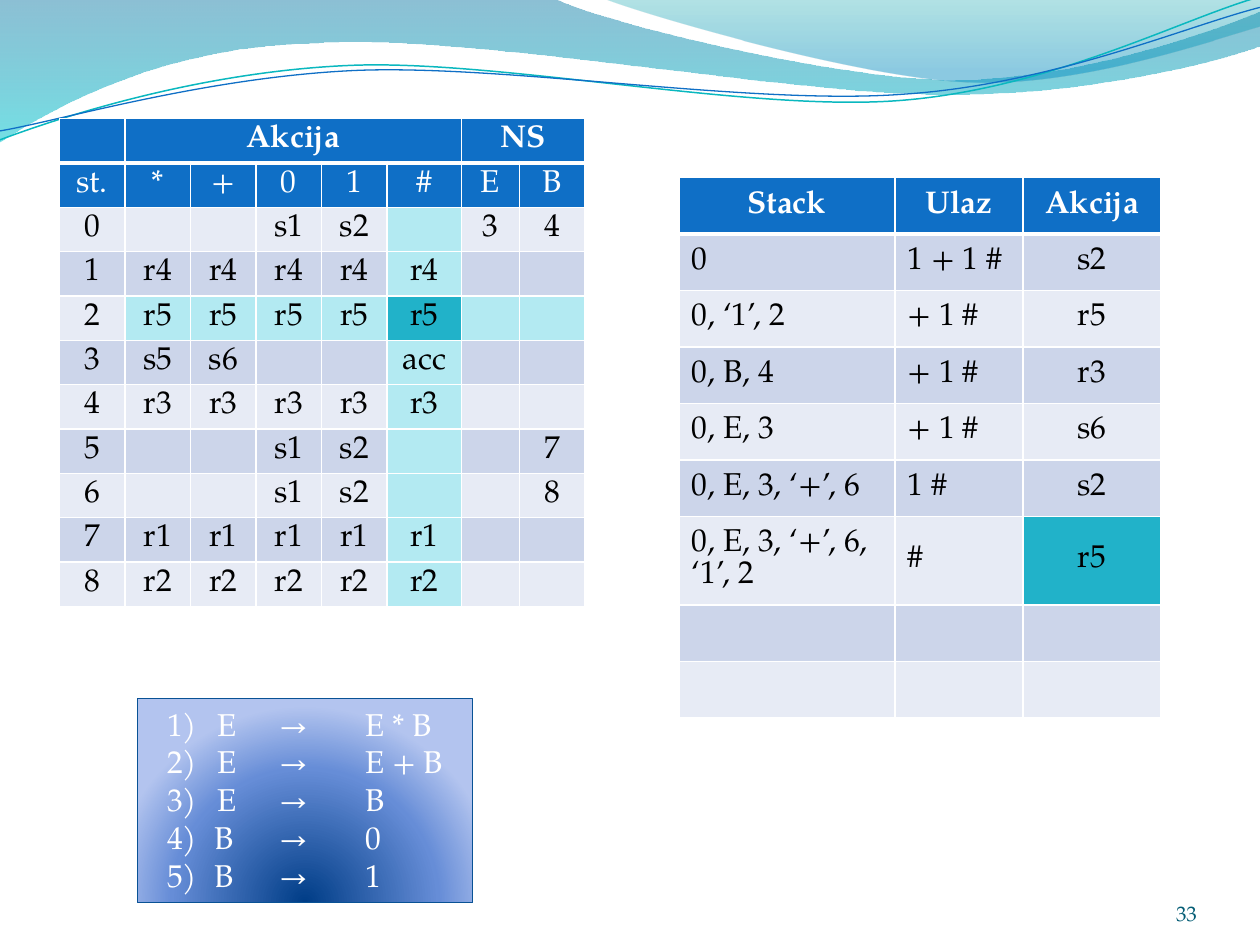
from lxml import etree
from pptx import Presentation, util as u
from pptx.dml.color import RGBColor
from pptx.enum import shapes, text
from pptx.oxml import parse_xml

NS = "http://schemas.openxmlformats.org/drawingml/2006/main"
A = "{%s}" % NS
FONT = "TeX Gyre Pagella"
COLORS = {
    "header": "0F6FC6", "light": "E7EBF5", "dark": "CCD5EA",
    "path": "B3EAF2", "current": "21B2C9", "white": "FFFFFF",
    "black": "000000", "number": "045D75", "frame": "095295",
}

deck = Presentation()
deck.slide_width, deck.slide_height = u.Cm(25.4), u.Cm(19.05)
slide = deck.slides.add_slide(deck.slide_layouts[6])


def trace(segments, closed):
    emus = [(u.Cm(segment[i]), u.Cm(segment[i + 1]))
            for segment in segments for i in range(0, len(segment), 2)]
    builder = slide.shapes.build_freeform(*emus[0], scale=1.0)
    builder.add_line_segments(emus[1:], close=closed)
    outline = builder.convert_to_shape()
    outline.shadow.inherit = False
    steps = iter(list(outline._element.spPr.iter(A + "lnTo")))
    for segment in segments[1:]:
        step = next(steps)
        if len(segment) == 6:
            step.addprevious(curve := etree.Element(A + "cubicBezTo"))
            for knot in (step, next(steps), next(steps)):
                curve.append(knot[0])
                knot.getparent().remove(knot)
    return outline


def add_grid(left, top, widths, heights, rows, header_rows, style):
    frame = slide.shapes.add_table(len(rows), len(widths), u.Cm(left), u.Cm(top),
                                   u.Cm(sum(widths)), u.Cm(sum(heights)))
    grid = frame.table
    for column, width in zip(grid.columns, widths):
        column.width = u.Cm(width)
    for row, height in zip(grid.rows, heights):
        row.height = u.Cm(height)
    for r, words in enumerate(rows):
        for c, word in enumerate(words):
            cell = grid.cell(r, c)
            fill, align = style(r, c)
            cell.vertical_anchor = text.MSO_ANCHOR.MIDDLE
            cell.fill.solid()
            cell.fill.fore_color.rgb = RGBColor.from_string(COLORS[fill])
            paragraph = cell.text_frame.paragraphs[0]
            paragraph.alignment = align
            if word:
                run = paragraph.add_run()
                run.text = word
                for key, value in {"name": FONT, "size": u.Pt(18), "bold": r == 0}.items():
                    setattr(run.font, key, value)
                ink = "white" if r < header_rows else "black"
                run.font.color.rgb = RGBColor.from_string(COLORS[ink])
            else:
                ending = etree.SubElement(paragraph._p, A + "endParaRPr", sz="1800")
                etree.SubElement(ending, A + "latin", typeface=FONT)
            for place, side in enumerate("LRTB"):
                thick = (r, side) in ((0, "B"), (1, "T"))
                cell._tc.get_or_add_tcPr().insert(place, parse_xml(
                    f'<a:ln{side} xmlns:a="{NS}" w="{u.Pt(3 if thick else 1)}"><a:solidFill>'
                    f'<a:srgbClr val="{COLORS["white"]}"/></a:solidFill></a:ln{side}>'))
    return grid


waves = [
    ([(0, 0), (11.18, -0.03), (12.09, 0.43, 16.87, 1.6, 19.25, 1.6),
      (21.67, 1.6, 24.33, 0.66, 25.4, 0.23), (25.43, 0.91),
      (24.97, 1.12, 22.1, 1.93, 18.95, 1.9), (15.8, 1.9, 9.7, 0.71, 6.53, 0.86),
      (3.28, 0.91, 1.17, 2.11, -0.03, 2.87), (0, 0)],
     [(0, "0074A1", 45), (1, "00C6CF", 55)]),
    ([(12.17, -0.03), (12.93, 0.28, 17.32, 1.57, 19.53, 1.65),
      (21.74, 1.75, 24.41, 0.81, 25.4, 0.53), (25.4, 0), (12.17, -0.03)],
     [(0, "00A1A9", 30), (0.8, "008BBF", 45)]),
]
for segments, stops in waves:
    wave = trace(segments, True)
    wave.line.fill.background()
    wave.fill.gradient()
    wave.fill.gradient_angle = 270
    for stop, (position, color, opacity) in zip(wave.fill.gradient_stops, stops):
        stop.position = position
        stop.color.rgb = RGBColor.from_string(color)
    for tint, (_, _, opacity) in zip(wave._element.spPr.iter(A + "srgbClr"), stops):
        etree.SubElement(tint, A + "alpha", val=str(opacity * 1000))

ripples = [
    ([(0, 2.82), (1.22, 2.36, 4.01, 1.45, 7.04, 1.32),
      (10.03, 1.19, 15.06, 2.26, 18.11, 2.03), (21.16, 1.8, 23.83, 0.38, 25.35, -0.05)],
     "0AB8BF", 0.85),
    ([(0, 2.64), (1.19, 2.44, 4.17, 1.55, 7.19, 1.42),
      (10.24, 1.3, 15.16, 2.13, 18.21, 1.9), (21.23, 1.7, 23.9, 0.53, 25.4, 0.15)],
     "0F6FC6", 0.75),
]
for segments, color, weight in ripples:
    ripple = trace(segments, False)
    ripple.fill.background()
    ripple.line.color.rgb = RGBColor.from_string(color)
    ripple.line.width = u.Pt(weight)

CENTER, LEFT = text.PP_ALIGN.CENTER, text.PP_ALIGN.LEFT
parser_rows = [line.split("|") for line in (
    "|Akcija|||||NS|", "st.|*|+|0|1|#|E|B",
    "0|||s1|s2||3|4", "1|r4|r4|r4|r4|r4||", "2|r5|r5|r5|r5|r5||",
    "3|s5|s6|||acc||", "4|r3|r3|r3|r3|r3||", "5|||s1|s2|||7",
    "6|||s1|s2|||8", "7|r1|r1|r1|r1|r1||", "8|r2|r2|r2|r2|r2||")]
parser_fill = lambda r, c: (
    "header" if r < 2 else "current" if (r, c) == (4, 5)
    else "path" if c == 5 or (r == 4 and c > 0) else ("light", "dark")[r % 2], CENTER)
parser = add_grid(1.2, 2.39, [1.32] * 5 + [1.5, 1.17, 1.32], [0.86] + [0.89] * 10,
                  parser_rows, 2, parser_fill)
for first, last in ((1, 5), (6, 7)):
    parser.cell(0, first).merge(parser.cell(0, last))

page = slide.shapes.add_textbox(u.Cm(22.02), u.Cm(17.65), u.Cm(2.11), u.Cm(1.02)).text_frame
for key, value in {"margin_left": 0, "margin_right": 0, "margin_top": 0, "margin_bottom": 0,
                   "word_wrap": True, "vertical_anchor": text.MSO_ANCHOR.BOTTOM}.items():
    setattr(page, key, value)
page.text = "33"
page.paragraphs[0].alignment = text.PP_ALIGN.RIGHT
number = page.paragraphs[0].runs[0].font
for key, value in {"name": FONT, "size": u.Pt(12)}.items():
    setattr(number, key, value)
number.color.rgb = RGBColor.from_string(COLORS["number"])

grammar = slide.shapes.add_shape(shapes.MSO_SHAPE.RECTANGLE, u.Cm(2.77), u.Cm(14.08),
                                 u.Cm(6.76), u.Cm(4.11))
grammar.shadow.inherit = False
grammar.line.color.rgb = RGBColor.from_string(COLORS["frame"])
grammar.line.width = u.Pt(0.75)
glow = "".join(f'<a:gs pos="{position}000"><a:srgbClr val="{color}"/></a:gs>'
               for position, color in ((0, "003D87"), (68, "668DD7"), (100, "B3C4EF")))
grammar._element.spPr.find(A + "prstGeom").addnext(parse_xml(
    f'<a:gradFill xmlns:a="{NS}"><a:gsLst>{glow}</a:gsLst><a:path path="circle">'
    '<a:fillToRect l="50000" t="130000" r="50000" b="-30000"/></a:path></a:gradFill>'))
rules = grammar.text_frame
for key, value in {"margin_left": u.Cm(0.6), "margin_right": u.Cm(0.1), "word_wrap": True,
                   "vertical_anchor": text.MSO_ANCHOR.TOP}.items():
    setattr(rules, key, value)
for i, words in enumerate(("1) \tE\t→\tE * B\v2) \tE\t→ \tE + B\v3) \tE\t→ \tB",
                           "B\t→\t0", "B\t→\t1")):
    rule = rules.paragraphs[0] if i == 0 else rules.add_paragraph()
    rule.alignment = LEFT
    layout = rule._p.get_or_add_pPr()
    if i:
        layout.set("marL", str(u.Cm(0.95)))
        layout.set("indent", str(u.Cm(-0.95)))
        etree.SubElement(layout, A + "buAutoNum", type="arabicParenR", startAt="4")
    stops = etree.SubElement(layout, A + "tabLst")
    for stop in (1.02, 2.26, 3.99):
        etree.SubElement(stops, A + "tab", pos=str(u.Cm(stop)), algn="l")
    rule.text = words
    for run in rule.runs:
        for key, value in {"name": FONT, "size": u.Pt(18)}.items():
            setattr(run.font, key, value)
        run.font.color.rgb = RGBColor.from_string(COLORS["white"])

trace_rows = [
    ("Stack", "Ulaz", "Akcija"), ("0", "1 + 1 #", "s2"), ("0, ‘1’, 2", "+ 1 #", "r5"),
    ("0, B, 4", "+ 1 #", "r3"), ("0, E, 3", "+ 1 #", "s6"), ("0, E, 3, ‘+’, 6", "1 #", "s2"),
    ("0, E, 3, ‘+’, 6, ‘1’, 2", "#", "r5"), ("", "", ""), ("", "", "")]
trace_fill = lambda r, c: (
    "header" if r == 0 else "current" if (r, c) == (6, 2) else ("light", "dark")[r % 2],
    CENTER if r == 0 or c == 2 else LEFT)
add_grid(13.69, 3.58, [4.35, 2.58, 2.79], [1.14] * 6 + [1.76] + [1.14] * 2,
         trace_rows, 1, trace_fill)

deck.save("out.pptx")
